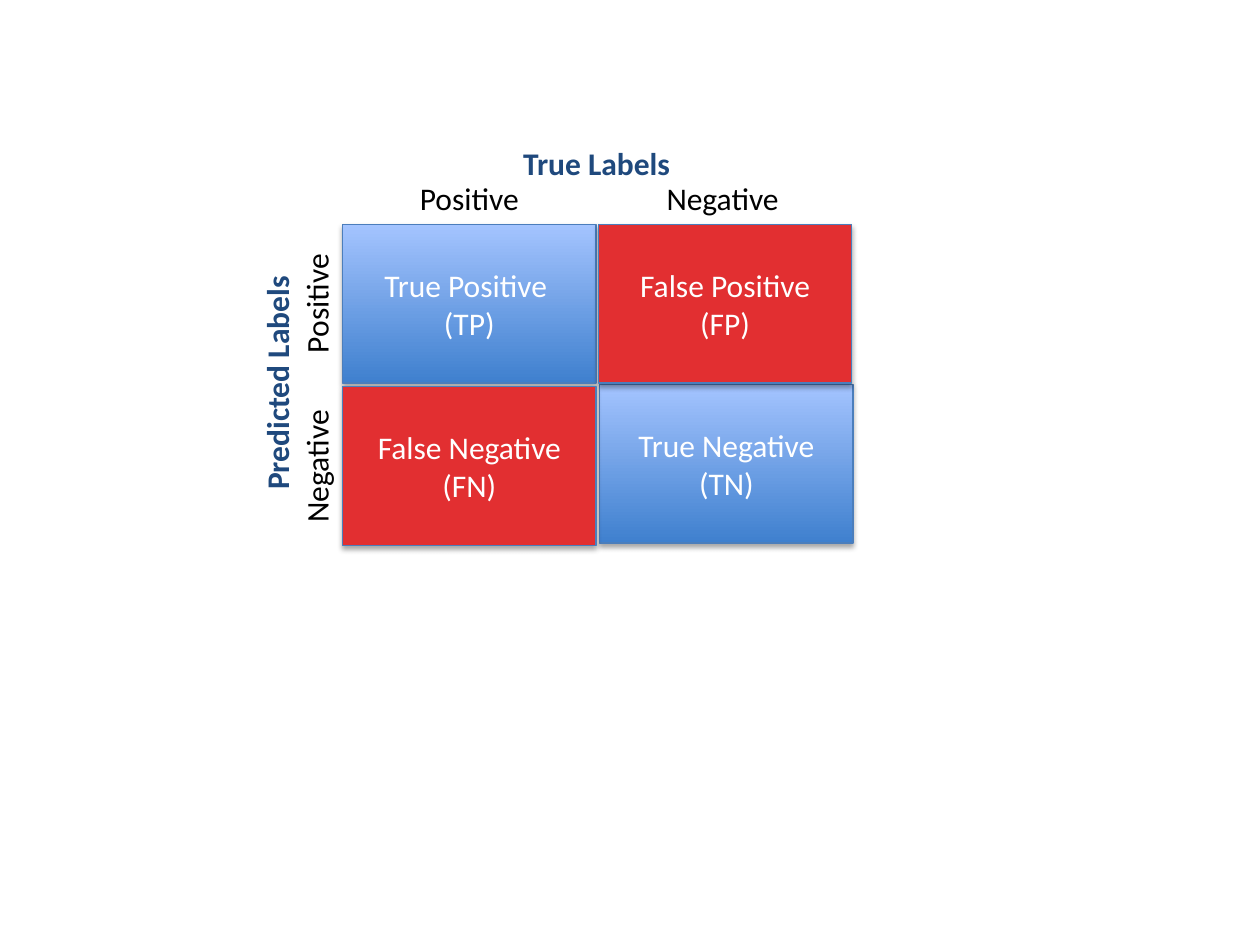
from typing import NamedTuple

from lxml import etree
from pptx import Presentation, util as u
from pptx.dml.color import RGBColor
from pptx.enum import shapes, text
from pptx.oxml import ns

FONT = "Calibri"
WHITE = RGBColor(0xFF, 0xFF, 0xFF)
BLACK = RGBColor(0, 0, 0)
NAVY = RGBColor(0x1F, 0x49, 0x7D)
RED = RGBColor(0xE2, 0x2F, 0x31)
OUTLINE = RGBColor(0x4B, 0x7E, 0xBC)
BLUE_DARK = RGBColor(0x3F, 0x80, 0xCE)
BLUE_LIGHT = RGBColor(0xA4, 0xC4, 0xFF)
CELL_WIDTH, CELL_HEIGHT, LABEL_HEIGHT = 2.01, 1.26, 0.4


class Cell(NamedTuple):
    """One outcome of the confusion matrix."""
    left: float
    top: float
    lines: tuple[str, ...]
    correct: bool


class Label(NamedTuple):
    """A heading beside or above the matrix."""
    left: float
    top: float
    width: float
    wording: str
    rotation: int = 0
    heading: bool = False


CELLS = (
    Cell(2.72, 1.78, ("True Positive ", "(TP)"), True),
    Cell(4.76, 3.05, ("True Negative (TN)",), True),
    Cell(4.75, 1.78, ("False Positive", "(FP)"), False),
    Cell(2.72, 3.07, ("False Negative", "(FN)"), False),
)
LABELS = (
    Label(2.72, 1.09, 4.03, "True Labels", heading=True),
    Label(2.72, 1.37, CELL_WIDTH, "Positive"),
    Label(4.73, 1.37, CELL_WIDTH, "Negative"),
    Label(1.87, 2.21, 1.28, "Positive", 270),
    Label(1.88, 3.5, 1.26, "Negative", 270),
    Label(0.92, 2.84, 2.55, "Predicted Labels", 270, True),
)


def write_lines(frame, lines: tuple[str, ...], color: RGBColor, bold: bool = False) -> None:
    """Write one centred paragraph for each line."""
    frame.word_wrap = True
    for index, line in enumerate(lines):
        paragraph = frame.add_paragraph() if index else frame.paragraphs[0]
        paragraph.alignment = text.PP_ALIGN.CENTER
        run = paragraph.add_run()
        run.text = line
        run.font.name = FONT
        run.font.size = u.Pt(18)
        run.font.bold = bold
        run.font.color.rgb = color


def add_shadow(shape) -> None:
    """Give a shape a soft shadow that falls straight down."""
    shape.shadow.inherit = False
    effects = shape._element.spPr.find(ns.qn("a:effectLst"))
    shadow = etree.SubElement(effects, ns.qn("a:outerShdw"), blurRad=str(u.Pt(3.1)),
                              dist=str(u.Pt(1.8)), dir="5400000", rotWithShape="0")
    color = etree.SubElement(shadow, ns.qn("a:srgbClr"), val="000000")
    etree.SubElement(color, ns.qn("a:alpha"), val="35000")


def add_cell(slide, cell: Cell) -> None:
    """Draw a matrix cell, blue if the prediction is correct and red if not."""
    shape = slide.shapes.add_shape(
        shapes.MSO_SHAPE.RECTANGLE, u.Inches(cell.left), u.Inches(cell.top),
        u.Inches(CELL_WIDTH), u.Inches(CELL_HEIGHT))
    if cell.correct:
        shape.fill.gradient()
        shape.fill.gradient_angle = 90
        for stop, color in zip(shape.fill.gradient_stops, (BLUE_DARK, BLUE_LIGHT)):
            stop.color.rgb = color
    else:
        shape.fill.solid()
        shape.fill.fore_color.rgb = RED
    shape.line.color.rgb = OUTLINE
    shape.line.width = u.Pt(0.75)
    add_shadow(shape)
    shape.text_frame.vertical_anchor = text.MSO_ANCHOR.MIDDLE
    write_lines(shape.text_frame, cell.lines, WHITE)


def add_label(slide, label: Label) -> None:
    """Place a heading, turned when it runs along the side."""
    box = slide.shapes.add_textbox(u.Inches(label.left), u.Inches(label.top),
                                   u.Inches(label.width), u.Inches(LABEL_HEIGHT))
    box.rotation = label.rotation
    box.text_frame.auto_size = text.MSO_AUTO_SIZE.SHAPE_TO_FIT_TEXT
    write_lines(box.text_frame, (label.wording,),
                NAVY if label.heading else BLACK, label.heading)


def main() -> None:
    """Build and save the slide."""
    presentation = Presentation()
    presentation.slide_width = u.Inches(10)
    presentation.slide_height = u.Inches(7.5)
    slide = presentation.slides.add_slide(presentation.slide_layouts[6])
    for cell in CELLS:
        add_cell(slide, cell)
    for label in LABELS:
        add_label(slide, label)
    presentation.save("out.pptx")


main()
